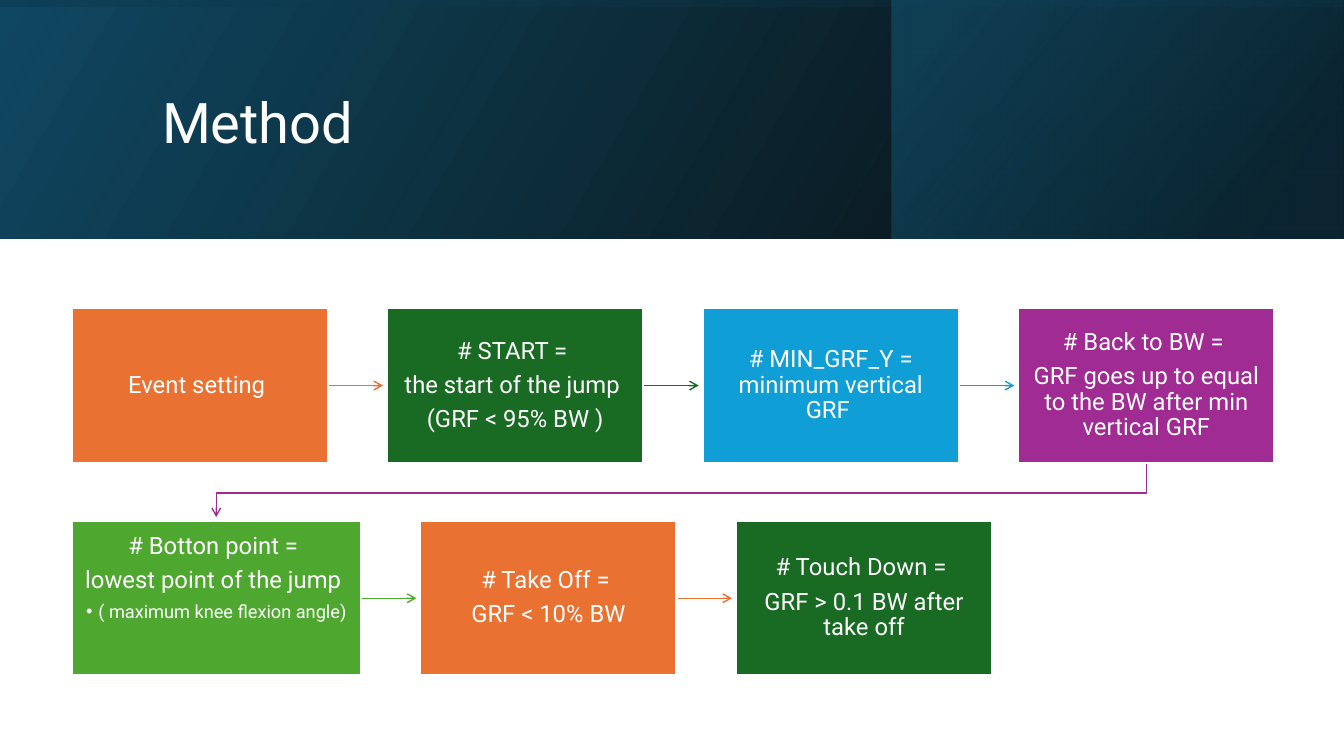
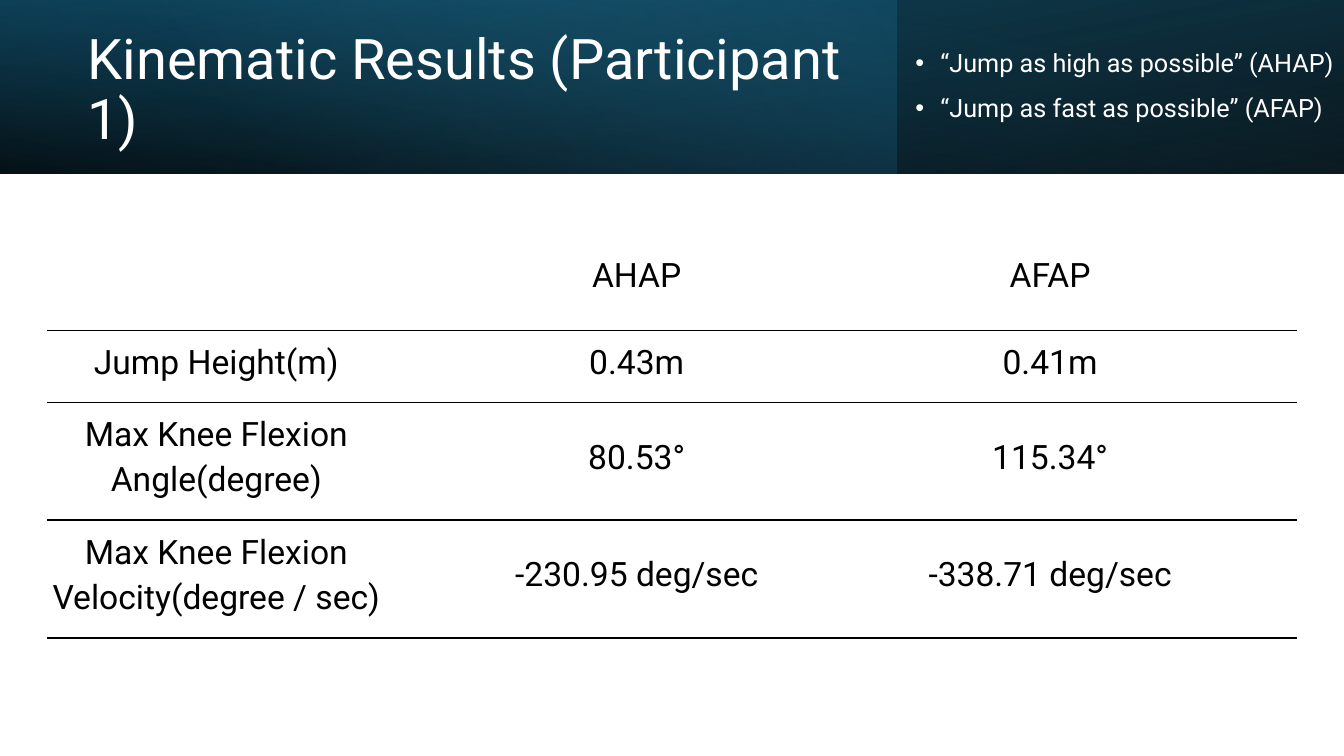
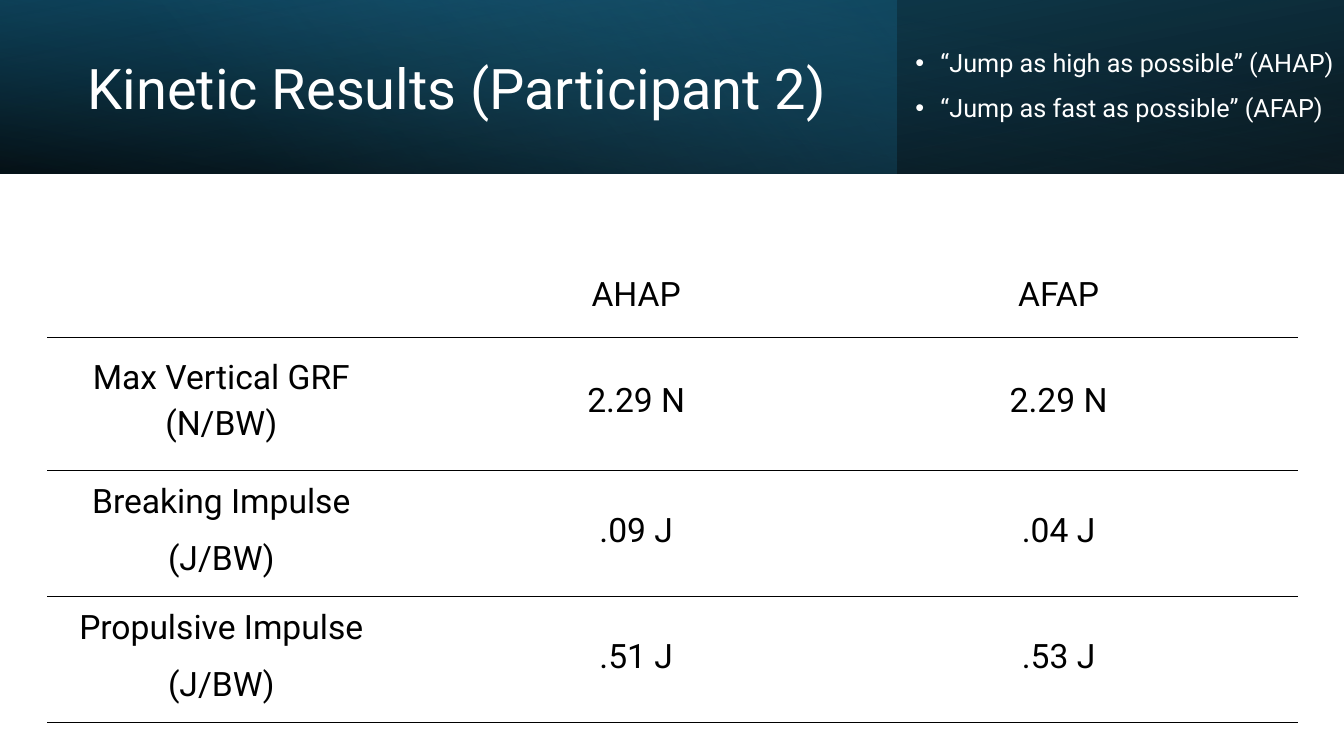
"""Build three slides on jump events and the results of two participants."""
import pptx
import pptx.dml.color
import pptx.enum.shapes
import pptx.enum.text
import pptx.oxml
import pptx.oxml.ns
import pptx.util

Inches = pptx.util.Inches
Pt = pptx.util.Pt
RGBColor = pptx.dml.color.RGBColor
SHAPE = pptx.enum.shapes.MSO_SHAPE
STRAIGHT = pptx.enum.shapes.MSO_CONNECTOR.STRAIGHT
ANCHOR = pptx.enum.text.MSO_ANCHOR
ALIGN = pptx.enum.text.PP_ALIGN
qn = pptx.oxml.ns.qn
NS = 'xmlns:a="http://schemas.openxmlformats.org/drawingml/2006/main"'

WHITE = RGBColor(0xFF, 0xFF, 0xFF)
BLACK = RGBColor(0x00, 0x00, 0x00)
ORANGE = RGBColor(0xE9, 0x71, 0x32)
FOREST = RGBColor(0x19, 0x6B, 0x24)
BLUE = RGBColor(0x0F, 0x9E, 0xD5)
PURPLE = RGBColor(0xA0, 0x2B, 0x93)
GREEN = RGBColor(0x4E, 0xA7, 0x2E)
NAVY = RGBColor(0x10, 0x48, 0x62)
TEAL = RGBColor(0x15, 0x60, 0x82)
DEEP_TEAL = RGBColor(0x0B, 0x30, 0x41)
SKY = RGBColor(0x46, 0xB1, 0xE1)

FONT = "Roboto"
SLIDE_W, SLIDE_H = 13.33, 7.5
BOX_W, BOX_H, BOX_GAP = 2.54, 1.53, 0.59
ARROW_GAP = 0.04

METHOD_BAND = [
    dict(box=(0, 0, SLIDE_W, 2.37), flip=True, angle=330,
         stops=[(0, BLACK, 96), (100, NAVY, 100)]),
    dict(box=(8.84, 0, 4.48, 2.37), flip=True, angle=320,
         stops=[(19, DEEP_TEAL, 68), (100, TEAL, 48)]),
    dict(box=(5.48, -5.48, 2.37, SLIDE_W), flip=True, rotation=270, angle=350,
         stops=[(23, NAVY, 16), (99, BLACK, 45)]),
]
RESULT_BAND = [
    dict(box=(0, 0, SLIDE_W, 1.72), flip=True, rotation=180, angle=100,
         stops=[(0, BLACK, 96), (100, NAVY, 100)]),
    dict(box=(0, 0, 8.89, 1.72), angle=140,
         stops=[(0, TEAL, 41), (74, SKY, 0)]),
    dict(box=(0, 0, SLIDE_W, 1.72), flip=True, angle=260,
         stops=[(0, BLACK, 63), (78, TEAL, 15)]),
]
JUMPS = ["“Jump as high as possible” (AHAP)", "“Jump as fast as possible” (AFAP)"]
TOP_EVENTS = [
    (ORANGE, BOX_W, ["Event setting "]),
    (FOREST, BOX_W, ["# START = ", "the start of the jump ", "(GRF < 95% BW )"]),
    (BLUE, BOX_W, ["# MIN_GRF_Y = minimum vertical GRF "]),
    (PURPLE, BOX_W, ["# Back to BW = ",
                     "GRF goes up to equal to the BW after min vertical GRF"]),
]
LOWER_EVENTS = [
    (GREEN, 2.87, ["# Botton point = ", "lowest point of the jump ",
                   "• ( maximum knee flexion angle)"]),
    (ORANGE, BOX_W, ["# Take Off = ", "GRF < 10% BW"]),
    (FOREST, BOX_W, ["# Touch Down = ", "GRF > 0.1 BW after take off"]),
]
KINEMATIC = dict(
    top=2.27, cols=[4.19, 4.15, 4.05], rows=[1.01, 0.7, 1.15, 1.15],
    margins=(0.06, 0.84, 0.19), cells=[
        ["", "AHAP", "AFAP"],
        ["Jump Height(m)", "0.43m", "0.41m"],
        ["Max Knee Flexion Angle(degree)", "80.53°", "115.34°"],
        ["Max Knee Flexion Velocity(degree / sec)",
         "-230.95 deg/sec", "-338.71 deg/sec"]])
KINETIC = dict(
    top=2.57, cols=[4.02, 4.21, 4.17], rows=[0.78, 1.32, 1.24, 1.24],
    margins=(0.05, 0.57, 0.17), cells=[
        ["", "AHAP", "AFAP"],
        ["Max Vertical GRF (N/BW)", "2.29 N", "2.29 N"],
        ["Breaking Impulse\n(J/BW)", ".09 J", ".04 J"],
        ["Propulsive Impulse\n(J/BW)", ".51 J", ".53 J"]])


def apply(obj, **fmt):
    """Set each format value as an attribute of the object."""
    for name, value in fmt.items():
        setattr(obj, name, value)


def inches(box):
    """Turn the numbers of a box into lengths."""
    return [Inches(v) for v in box]


def add_bullet(p, left, hang):
    """Give a paragraph a hanging round bullet."""
    pPr = p._p.get_or_add_pPr()
    pPr.set("marL", str(Inches(left)))
    pPr.set("indent", str(-Inches(hang)))
    pPr.append(pptx.oxml.parse_xml(f'<a:buFont {NS} typeface="Arial"/>'))
    pPr.append(pptx.oxml.parse_xml(f'<a:buChar {NS} char="•"/>'))


def write(tf, lines, size, color=WHITE, bullet=None, **fmt):
    """Write one styled paragraph for each line of text."""
    for i, line in enumerate(lines):
        p = tf.add_paragraph() if i else tf.paragraphs[0]
        apply(p, **fmt)
        if bullet:
            add_bullet(p, *bullet)
        r = p.add_run()
        r.text = line
        apply(r.font, name=FONT, size=Pt(size), bold=False)
        r.font.color.rgb = color


def add_band(slide, layers):
    """Stack the translucent gradient layers of a header band."""
    for layer in layers:
        sp = slide.shapes.add_shape(SHAPE.RECTANGLE, *inches(layer["box"]))
        stops = "".join(
            f'<a:gs pos="{pos * 1000}"><a:srgbClr val="{color}">'
            f'<a:alpha val="{alpha * 1000}"/></a:srgbClr></a:gs>'
            for pos, color, alpha in layer["stops"])
        grad = pptx.oxml.parse_xml(
            f'<a:gradFill {NS} rotWithShape="1"><a:gsLst>{stops}</a:gsLst>'
            f'<a:lin ang="{layer["angle"] * 60000}" scaled="0"/></a:gradFill>')
        spPr = sp.element.spPr
        spPr.insert(2, grad)
        sp.line.fill.background()
        sp.shadow.inherit = False
        sp.rotation = layer.get("rotation", 0)
        if layer.get("flip"):
            spPr.find(qn("a:xfrm")).set("flipH", "1")


def add_title(slide, box, text):
    """Place the slide title in its box."""
    tf = slide.shapes.add_textbox(*inches(box)).text_frame
    apply(tf, word_wrap=True, vertical_anchor=ANCHOR.MIDDLE)
    write(tf, [text], 40, line_spacing=0.9)


def add_jump_key(slide, box):
    """List the two kinds of jump in the header band."""
    tf = slide.shapes.add_textbox(*inches(box)).text_frame
    apply(tf, word_wrap=True, margin_right=0)
    write(tf, JUMPS, 18, bullet=(0.5, 0.25), line_spacing=1.5)


def style_arrow(sp, color):
    """Give a line its colour, width and open arrowhead."""
    sp.line.color.rgb = color
    sp.line.width = Pt(1)
    sp.line._get_or_add_ln().append(
        pptx.oxml.parse_xml(f'<a:tailEnd {NS} type="arrow"/>'))
    if sp.element.spPr.find(qn("a:effectLst")) is None:
        sp.element.spPr.append(pptx.oxml.parse_xml(f"<a:effectLst {NS}/>"))


def add_event(slide, box, color, lines):
    """Draw one event box, with a smaller bullet line if it has one."""
    sp = slide.shapes.add_shape(SHAPE.RECTANGLE, *inches(box))
    sp.shadow.inherit = False
    sp.fill.solid()
    sp.fill.fore_color.rgb = color
    sp.line.color.rgb = WHITE
    sp.line.width = Pt(1.5)
    tf = sp.text_frame
    details = [s[2:] for s in lines if s.startswith("• ")]
    apply(tf, word_wrap=True,
          vertical_anchor=ANCHOR.TOP if details else ANCHOR.MIDDLE,
          margin_left=Inches(0.12), margin_right=Inches(0.12),
          margin_top=Inches(0.13), margin_bottom=Inches(0.13))
    main = [s for s in lines if not s.startswith("• ")]
    fmt = dict(alignment=ALIGN.CENTER, line_spacing=0.9)
    write(tf, main, 17, space_after=Pt(6), **fmt)
    for line in details:
        p = tf.add_paragraph()
        apply(p, space_after=Pt(2), **fmt)
        add_bullet(p, 0.12, 0.12)
        r = p.add_run()
        r.text = line
        apply(r.font, name=FONT, size=Pt(13))
        r.font.color.rgb = WHITE


def add_event_row(slide, left, top, events):
    """Lay out a row of event boxes joined by arrows."""
    mid = top + BOX_H / 2
    for i, (color, width, lines) in enumerate(events):
        right = left + width
        if i < len(events) - 1:
            ends = (right, mid, right + BOX_GAP - ARROW_GAP, mid)
            style_arrow(slide.shapes.add_connector(STRAIGHT, *inches(ends)), color)
        add_event(slide, (left, top, width, BOX_H), color, lines)
        left = right + BOX_GAP


def add_return_arrow(slide, start, end, color):
    """Draw the bent arrow from the end of one row to the start of the next."""
    (x1, y1), (x2, y2) = start, end
    bend = y1 + 0.3
    fb = slide.shapes.build_freeform(Inches(x1), Inches(y1))
    fb.add_line_segments([inches(pt) for pt in ((x1, bend), (x2, bend), (x2, y2))],
                         close=False)
    sp = fb.convert_to_shape()
    sp.fill.background()
    sp.shadow.inherit = False
    style_arrow(sp, color)


def add_borders(cell, is_header):
    """Rule a cell below, and above unless it is in the header."""
    solid = f'<a:solidFill><a:srgbClr val="{BLACK}"/></a:solidFill>'
    ruled = {"lnB"} if is_header else {"lnT", "lnB"}
    tcPr = cell._tc.get_or_add_tcPr()
    for i, side in enumerate(("lnL", "lnR", "lnT", "lnB")):
        fill = solid if side in ruled else "<a:noFill/>"
        tcPr.insert(i, pptx.oxml.parse_xml(
            f'<a:{side} {NS} w="{Pt(1)}">{fill}</a:{side}>'))


def add_results(slide, left, top, cols, rows, margins, cells):
    """Place a ruled table of results."""
    box = (left, top, sum(cols), sum(rows))
    table = slide.shapes.add_table(len(rows), len(cols), *inches(box)).table
    apply(table, first_row=False, horz_banding=False)
    for col, width in zip(table.columns, cols):
        col.width = Inches(width)
    above, right, below = inches(margins)
    for i, (row, height) in enumerate(zip(table.rows, rows)):
        row.height = Inches(height)
        for cell, text in zip(row.cells, cells[i]):
            apply(cell, vertical_anchor=ANCHOR.MIDDLE, margin_left=0,
                  margin_top=above, margin_right=right, margin_bottom=below)
            cell.fill.solid()
            cell.fill.fore_color.rgb = WHITE
            add_borders(cell, i == 0)
            if text:
                write(cell.text_frame, text.split("\n"), 24, BLACK,
                      alignment=ALIGN.CENTER, line_spacing=1.15, space_after=Pt(8))


def method_slide(slide):
    """Show the jump events in order."""
    add_band(slide, METHOD_BAND)
    add_title(slide, (1.51, 0.38, 10.63, 1.72), "Method")
    left, top, lower = 0.71, 3.06, 5.17
    last_mid = left + 3 * (BOX_W + BOX_GAP) + BOX_W / 2
    first_mid = left + LOWER_EVENTS[0][1] / 2
    add_return_arrow(slide, (last_mid, top + BOX_H),
                     (first_mid, lower - ARROW_GAP), PURPLE)
    add_event_row(slide, left, top, TOP_EVENTS)
    add_event_row(slide, left, lower, LOWER_EVENTS)


def results_slide(slide, title, results):
    """Show one table of results under the header band."""
    add_band(slide, RESULT_BAND)
    add_title(slide, (0.77, 0.27, 7.72, 1.27), title)
    add_results(slide, 0.47, **results)
    add_jump_key(slide, (8.73, 0.27, 4.6, 0.97))


def main():
    """Build the presentation and save it."""
    prs = pptx.Presentation()
    apply(prs, slide_width=Inches(SLIDE_W), slide_height=Inches(SLIDE_H))
    blank = prs.slide_layouts[6]
    method_slide(prs.slides.add_slide(blank))
    results_slide(prs.slides.add_slide(blank),
                  "Kinematic Results (Participant 1)", KINEMATIC)
    results_slide(prs.slides.add_slide(blank),
                  "Kinetic Results (Participant 2)", KINETIC)
    prs.save("out.pptx")


if __name__ == "__main__":
    main()
